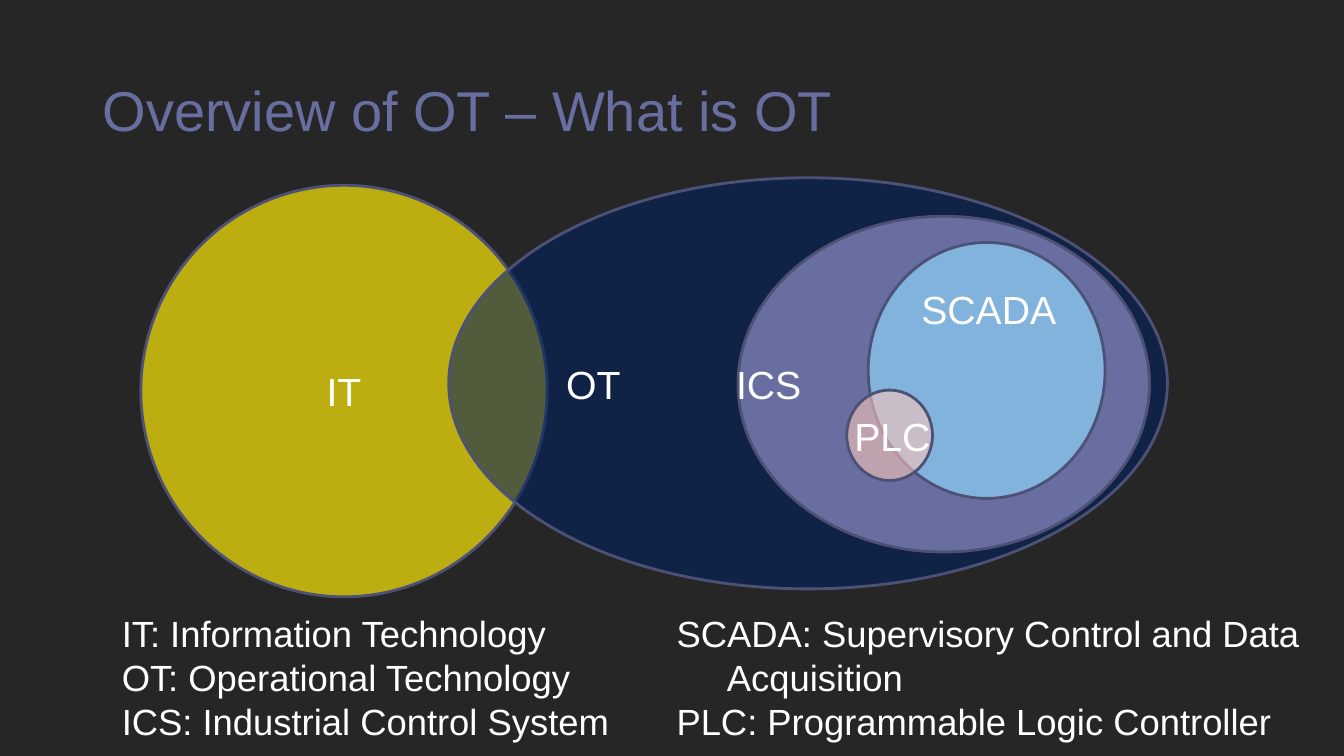
"""Build the slide that shows how IT, OT, ICS, SCADA and PLC overlap."""
from lxml import etree
from pptx import Presentation
from pptx import util as u
from pptx.dml.color import RGBColor
from pptx.enum import shapes, text
from pptx.oxml.ns import qn

COLORS = {
    "background": "262626", "title": "686EA0", "text": "FFFFFF", "outline": "4D5176",
    "IT": "BCAD10", "OT": "002060", "ICS": "686EA0", "SCADA": "82B3DD", "PLC": "FBC7B9",
}


def write(tf, lines, size, color="text", align=text.PP_ALIGN.LEFT,
          anchor=text.MSO_ANCHOR.TOP, spacing=None, margin=0, hanging=0):
    """Fill a text frame with one paragraph for each line."""
    tf.word_wrap = True
    tf.vertical_anchor = anchor
    for i, line in enumerate(lines):
        p = tf.paragraphs[0] if i == 0 else tf.add_paragraph()
        p.alignment = align
        if spacing:
            p.line_spacing = spacing
        if hanging:
            pPr = p._p.get_or_add_pPr()
            pPr.set("marL", str(u.Cm(margin)))
            pPr.set("indent", str(-u.Cm(hanging)))
        r = p.add_run()
        r.text = line
        r.font.name = "Arial"
        r.font.size = u.Pt(size)
        r.font.color.rgb = RGBColor.from_string(COLORS[color])


prs = Presentation()
prs.slide_width, prs.slide_height = u.Cm(33.87), u.Cm(19.05)
s = prs.slides.add_slide(prs.slide_layouts[5])
s.background.fill.solid()
s.background.fill.fore_color.rgb = RGBColor.from_string(COLORS["background"])

title = s.shapes.title
title.left, title.top, title.width, title.height = map(u.Cm, (2.33, 1.01, 29.21, 3.68))
title.text_frame.auto_size = text.MSO_AUTO_SIZE.NONE
write(title.text_frame, ["Overview of OT – What is OT"], 40, color="title",
      anchor=text.MSO_ANCHOR.MIDDLE, spacing=0.9)

# name, ellipse box, opacity in percent, label box (none: centred in the ellipse)
domains = [
    ("IT", (3.55, 4.67, 10.24, 10.37), 100, None),
    ("OT", (11.31, 4.48, 18.11, 10.36), 57, (14.02, 8.95, 3.43, 1.45)),
    ("ICS", (18.6, 5.45, 10.37, 8.46), 100, (18.3, 8.96, 3.43, 1.45)),
    ("SCADA", (21.88, 6.11, 5.97, 6.45), 100, (22.97, 7.06, 4.32, 1.45)),
    ("PLC", (21.34, 9.83, 2.16, 2.28), 59, (21.28, 10.26, 3.43, 1.45)),
]
for name, box, opacity, label_box in domains:
    sp = s.shapes.add_shape(shapes.MSO_SHAPE.OVAL, *map(u.Cm, box))
    sp.shadow.inherit = False
    sp.fill.solid()
    sp.fill.fore_color.rgb = RGBColor.from_string(COLORS[name])
    if opacity < 100:
        color = sp._element.spPr.find(qn("a:solidFill"))[0]
        etree.SubElement(color, qn("a:alpha")).set("val", str(opacity * 1000))
    sp.line.color.rgb = RGBColor.from_string(COLORS["outline"])
    sp.line.width = u.Pt(2)
    if label_box:
        label = s.shapes.add_textbox(*map(u.Cm, label_box))
        write(label.text_frame, [name], 28)
    else:
        write(sp.text_frame, [name], 28, align=text.PP_ALIGN.CENTER,
              anchor=text.MSO_ANCHOR.MIDDLE)

glossary = [
    (2.34, ["IT: Information Technology", "OT: Operational Technology",
            "ICS: Industrial Control System"]),
    (16.32, ["SCADA: Supervisory Control and Data Acquisition",
             "PLC: Programmable Logic Controller"]),
]
for left, lines in glossary:
    sp = s.shapes.add_textbox(u.Cm(left), u.Cm(15.28), u.Cm(16.94), u.Cm(3.58))
    write(sp.text_frame, lines, 26, margin=1.75, hanging=1.27)

prs.save("out.pptx")
